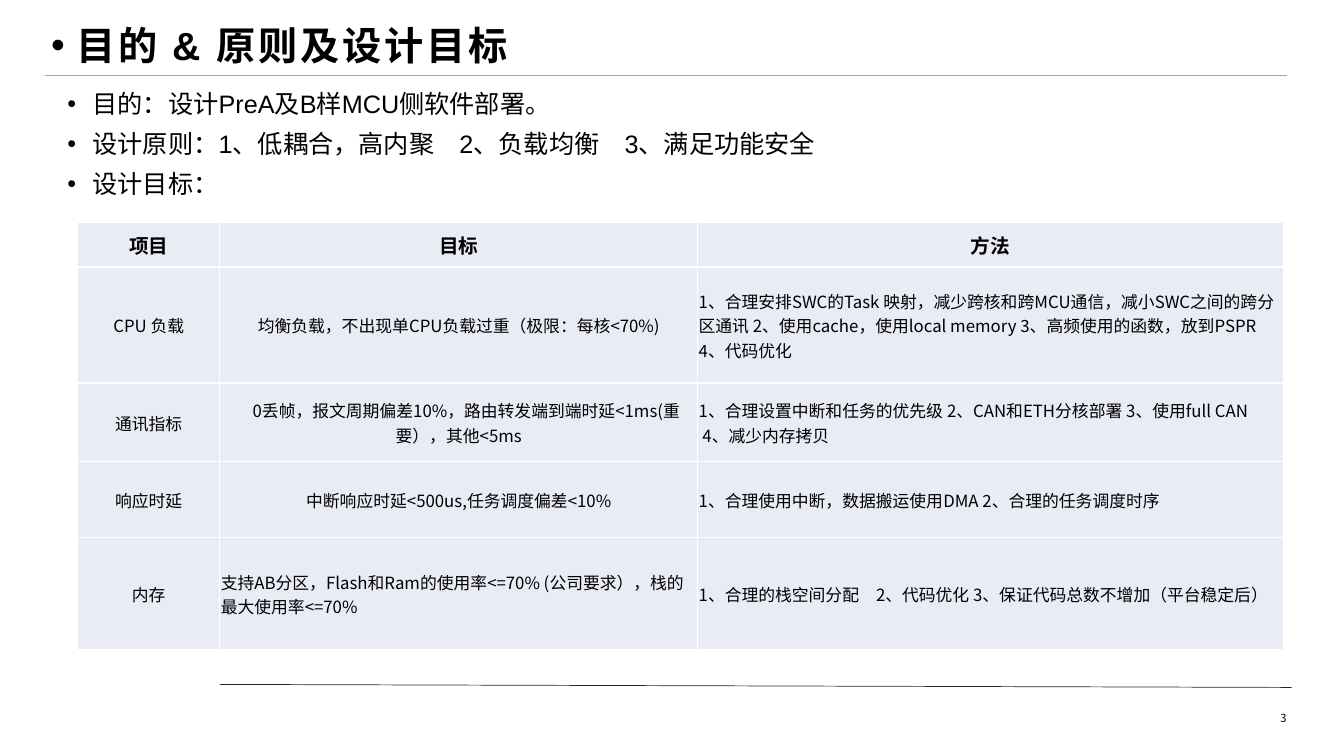
from lxml.etree import SubElement
from pptx import Presentation
from pptx.dml.color import RGBColor
from pptx.enum.shapes import MSO_CONNECTOR as CONN
from pptx.enum.text import MSO_ANCHOR as ANCHOR, PP_ALIGN as ALIGN
from pptx.oxml.ns import qn
from pptx.util import Inches, Pt

COLORS = {"text": "000000", "cell": "E9EBF5", "border": "FFFFFF",
          "rule": "A5A5A5", "footer": "24292B"}
LATIN, CJK = "Arial", "Noto Sans CJK SC"
TITLE = ["目的 & 原则及设计目标"]
POINTS = ["目的：设计PreA及B样MCU侧软件部署。",
          "设计原则：1、低耦合，高内聚　2、负载均衡　3、满足功能安全",
          "设计目标："]
COL_WIDTHS = [1.41, 4.74, 5.81]
ROW_HEIGHTS = [0.44, 1.15, 0.78, 0.75, 1.12]
ROWS = [
    ["项目", "目标", "方法"],
    ["CPU 负载", "均衡负载，不出现单CPU负载过重（极限：每核<70%)",
     "1、合理安排SWC的Task 映射，减少跨核和跨MCU通信，减小SWC之间的跨分区通讯 "
     "2、使用cache，使用local memory 3、高频使用的函数，放到PSPR 4、代码优化"],
    ["通讯指标", "0丢帧，报文周期偏差10%，路由转发端到端时延<1ms(重要），其他<5ms",
     "1、合理设置中断和任务的优先级 2、CAN和ETH分核部署 3、使用full CAN\n 4、减少内存拷贝"],
    ["响应时延", "中断响应时延<500us,任务调度偏差<10%",
     "1、合理使用中断，数据搬运使用DMA 2、合理的任务调度时序"],
    ["内存", "支持AB分区，Flash和Ram的使用率<=70% (公司要求），栈的最大使用率<=70%",
     "1、合理的栈空间分配　2、代码优化 3、保证代码总数不增加（平台稳定后）"],
]
LEFT_CELLS = {(1, 2), (2, 2), (3, 2), (4, 1), (4, 2)}
INDENTED_CELL = (2, 1)


def rgb(name):
    """Return a named colour."""
    return RGBColor.from_string(COLORS[name])


def add_run(p, text, size, font=CJK, bold=False, spacing=None):
    """Add one formatted run to a paragraph."""
    r = p.add_run()
    r.text = text
    r.font.size, r.font.bold = Pt(size), bold
    r.font.color.rgb = rgb("text")
    r.font.name = font
    props = r.font._element
    SubElement(props, qn("a:ea"), typeface=CJK)
    if spacing:
        props.set("spc", str(spacing * 100))


def add_line(s, start, end, color):
    """Draw a thin straight line."""
    line = s.shapes.add_connector(CONN.STRAIGHT, *map(Inches, start + end))
    line.line.color.rgb = rgb(color)
    line.line.width = Pt(0.5)
    SubElement(line._element.spPr, qn("a:effectLst"))


def add_bullets(s, box, lines, size, before, **style):
    """Add a text box of bulleted paragraphs."""
    tf = s.shapes.add_textbox(*map(Inches, box)).text_frame
    tf.word_wrap = True
    for i, text in enumerate(lines):
        p = tf.paragraphs[0] if i == 0 else tf.add_paragraph()
        p.space_before, p.line_spacing = Pt(before), 0.9
        props = p._p.get_or_add_pPr()
        props.set("marL", str(Inches(0.25)))
        props.set("indent", str(Inches(-0.25)))
        SubElement(props, qn("a:buFont"), typeface=LATIN)
        SubElement(props, qn("a:buChar"), char="•")
        add_run(p, text, size, LATIN, **style)


def add_page_number(s, box, number):
    """Add the page number."""
    tf = s.shapes.add_textbox(*map(Inches, box)).text_frame
    tf.margin_left = tf.margin_right = tf.margin_top = tf.margin_bottom = 0
    tf.vertical_anchor = ANCHOR.MIDDLE
    p = tf.paragraphs[0]
    p.alignment = ALIGN.RIGHT
    add_run(p, number, 8)


def style_cell(cell):
    """Set margins, borders and fill of a table cell."""
    cell.margin_left = cell.margin_right = cell.margin_top = Inches(0.01)
    cell.margin_bottom = 0
    cell.vertical_anchor = ANCHOR.MIDDLE
    props = cell._tc.get_or_add_tcPr()
    for side in ("lnL", "lnR", "lnT", "lnB"):
        border = SubElement(props, qn(f"a:{side}"), w=str(Pt(1)))
        fill = SubElement(border, qn("a:solidFill"))
        SubElement(fill, qn("a:srgbClr"), val=COLORS["border"])
    cell.fill.solid()
    cell.fill.fore_color.rgb = rgb("cell")


def fill_cell(cell, row, col, text):
    """Write the paragraphs of a table cell."""
    header = row == 0
    for i, line in enumerate(text.split("\n")):
        p = cell.text_frame.paragraphs[0] if i == 0 else cell.text_frame.add_paragraph()
        p.alignment = ALIGN.LEFT if (row, col) in LEFT_CELLS else ALIGN.CENTER
        if (row, col) == INDENTED_CELL:
            p._p.get_or_add_pPr().set("indent", str(Inches(0.15)))
        add_run(p, line, 14 if header else 12, bold=header)


def add_goal_table(s, left, top):
    """Add the table of goals and methods."""
    size = map(Inches, (left, top, sum(COL_WIDTHS), sum(ROW_HEIGHTS)))
    table = s.shapes.add_table(len(ROWS), len(COL_WIDTHS), *size).table
    table.first_row = table.horz_banding = False
    for column, width in zip(table.columns, COL_WIDTHS):
        column.width = Inches(width)
    for i, (height, texts) in enumerate(zip(ROW_HEIGHTS, ROWS)):
        table.rows[i].height = Inches(height)
        for j, text in enumerate(texts):
            style_cell(table.cell(i, j))
            fill_cell(table.cell(i, j), i, j, text)


def main():
    """Build the slide and save it."""
    prs = Presentation()
    prs.slide_width, prs.slide_height = Inches(13.33), Inches(7.5)
    s = prs.slides.add_slide(prs.slide_layouts[6])
    add_line(s, (2.18, 6.79), (12.81, 6.82), "footer")
    add_page_number(s, (12.62, 7.05, 0.14, 0.14), "3")
    add_bullets(s, (0.57, 0.86, 10.87, 4.44), POINTS, 18, 9)
    add_bullets(s, (0.41, 0.21, 12.21, 0.71), TITLE, 28, 10, bold=True, spacing=2)
    add_line(s, (0.45, 0.75), (12.76, 0.75), "rule")
    add_goal_table(s, 0.77, 2.21)
    prs.save("out.pptx")


if __name__ == "__main__":
    main()
